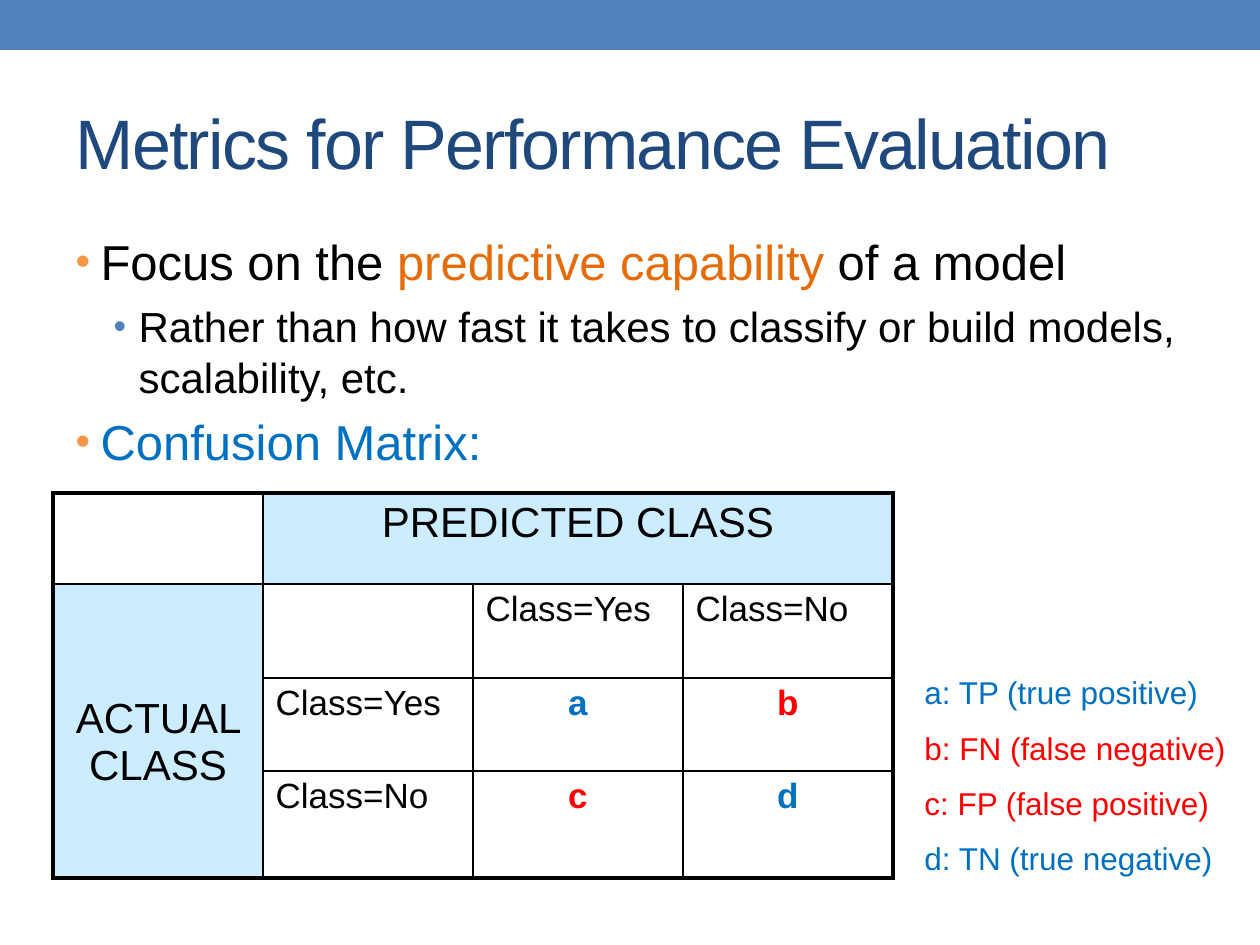
from lxml.etree import SubElement
from pptx import Presentation
from pptx.dml.color import RGBColor
from pptx.enum.shapes import MSO_SHAPE
from pptx.enum.text import MSO_ANCHOR, MSO_AUTO_SIZE, PP_ALIGN
from pptx.oxml.ns import qn
from pptx.util import Inches, Pt

BLACK = RGBColor(0x00, 0x00, 0x00)
NAVY = RGBColor(0x1F, 0x49, 0x7D)
STEEL = RGBColor(0x4F, 0x81, 0xBD)
APRICOT = RGBColor(0xF7, 0x96, 0x46)
ORANGE = RGBColor(0xE4, 0x6C, 0x0A)
BLUE = RGBColor(0x00, 0x70, 0xC0)
RED = RGBColor(0xFF, 0x00, 0x00)
PALE = RGBColor(0xCC, 0xEC, 0xFF)

PX_PER_INCH = 126
THIN, THICK = 1, 2.25


def px(length):
    return round(length * Inches(1) / PX_PER_INCH)


def write(paragraph, text, size=20, color=BLACK, bold=False, align=PP_ALIGN.LEFT,
          before=0, after=0, spacing=None):
    paragraph.alignment = align
    paragraph.space_before, paragraph.space_after = Pt(before), Pt(after)
    run = paragraph.add_run()
    run.text = text
    font = run.font
    font.name, font.size, font.bold = "Arial", Pt(size), bold
    font.color.rgb = color
    if spacing is not None:
        font._element.set("spc", str(spacing * 100))


def add_bullet(paragraph, color, indent, hanging):
    properties = paragraph._p.get_or_add_pPr()
    properties.set("marL", str(px(indent)))
    properties.set("indent", str(-px(hanging)))
    bullet_color = SubElement(properties, qn("a:buClr"))
    SubElement(bullet_color, qn("a:srgbClr"), val=str(color))
    SubElement(properties, qn("a:buSzPct"), val="85000")
    SubElement(properties, qn("a:buFont"), typeface="Arial")
    SubElement(properties, qn("a:buChar"), char="•")


def next_paragraph(frame, index):
    return frame.paragraphs[0] if index == 0 else frame.add_paragraph()


class SlideBuilder:
    def __init__(self, slide):
        self.slide = slide

    def place(self, placeholder, left, top, width, height):
        placeholder.left, placeholder.top = px(left), px(top)
        placeholder.width, placeholder.height = px(width), px(height)
        frame = placeholder.text_frame
        frame.auto_size = MSO_AUTO_SIZE.NONE
        return frame

    def band(self, left, top, width, height, color):
        band = self.slide.shapes.add_shape(
            MSO_SHAPE.RECTANGLE, px(left), px(top), px(width), px(height))
        band.shadow.inherit = False
        band.fill.solid()
        band.fill.fore_color.rgb = color
        band.line.fill.background()

    def title(self, text, *box):
        frame = self.place(self.slide.shapes.title, *box)
        frame.vertical_anchor = MSO_ANCHOR.MIDDLE
        write(frame.paragraphs[0], text, size=40, color=NAVY, spacing=-1)

    def bullets(self, items, *box):
        frame = self.place(self.slide.placeholders[1], *box)
        for index, (level, runs) in enumerate(items):
            paragraph = next_paragraph(frame, index)
            paragraph.level = level
            add_bullet(paragraph, (APRICOT, STEEL)[level], (25, 63)[level], 25)
            for text, color in runs:
                write(paragraph, text, size=(28, 24)[level], color=color,
                      before=6 if index else 0)

    def legend(self, entries, left, top, width, height):
        box = self.slide.shapes.add_textbox(px(left), px(top), px(width), px(height))
        frame = box.text_frame
        frame.word_wrap = True
        for index, (text, color) in enumerate(entries):
            write(next_paragraph(frame, index), text, size=18, color=color,
                  before=10 if index else 0)

    def border(self, cell, row, column, last_row, last_column):
        bottom = row + cell.span_height - 1
        right = column + cell.span_width - 1
        outer_edges = {"lnL": column == 0, "lnR": right == last_column,
                       "lnT": row == 0, "lnB": bottom == last_row}
        properties = cell._tc.get_or_add_tcPr()
        for tag, outer in outer_edges.items():
            if cell.is_spanned and not outer:
                continue
            line = SubElement(properties, qn(f"a:{tag}"), w=str(Pt(THICK if outer else THIN)))
            fill = SubElement(line, qn("a:solidFill"))
            SubElement(fill, qn("a:srgbClr"), val=str(BLACK))

    def matrix(self, contents, merges, shaded, left, top, column_width, row_heights):
        rows, columns = len(contents), len(contents[0])
        table = self.slide.shapes.add_table(
            rows, columns, px(left), px(top),
            px(column_width * columns), px(sum(row_heights))).table
        table.first_row = table.horz_banding = False
        for column in table.columns:
            column.width = px(column_width)
        for row, height in zip(table.rows, row_heights):
            row.height = px(height)
        for start, end in merges:
            table.cell(*start).merge(table.cell(*end))
        for row, line in enumerate(contents):
            for column, content in enumerate(line):
                cell = table.cell(row, column)
                self.border(cell, row, column, rows - 1, columns - 1)
                if (row, column) in shaded:
                    cell.fill.solid()
                    cell.fill.fore_color.rgb = PALE
                else:
                    cell.fill.background()
                if content:
                    text, style = content
                    write(cell.text_frame.paragraphs[0], text, after=4, **style)
        return table


def main():
    presentation = Presentation()
    presentation.slide_width, presentation.slide_height = Inches(10), Inches(7.5)
    builder = SlideBuilder(presentation.slides.add_slide(presentation.slide_layouts[1]))

    builder.band(0, 0, 1260, 50, STEEL)
    builder.title("Metrics for Performance Evaluation", 63, 73, 1134, 136)
    builder.bullets([
        (0, [("Focus on the ", BLACK), ("predictive capability ", ORANGE),
             ("of a model", BLACK)]),
        (1, [("Rather than how fast it takes to classify or build models, "
              "scalability, etc.", BLACK)]),
        (0, [("Confusion Matrix:", BLUE)]),
    ], 63, 225, 1134, 667)

    heading = {"size": 24, "align": PP_ALIGN.CENTER}
    correct = {"color": BLUE, "bold": True, "align": PP_ALIGN.CENTER}
    wrong = {**correct, "color": RED}
    yes, no = ("Class=Yes", {}), ("Class=No", {})
    confusion = builder.matrix(
        [[None, ("PREDICTED CLASS", heading), None, None],
         [("ACTUAL CLASS", heading), None, yes, no],
         [None, yes, ("a", correct), ("b", wrong)],
         [None, no, ("c", wrong), ("d", correct)]],
        merges=[((0, 1), (0, 3)), ((1, 0), (3, 0))],
        shaded={(0, 1), (1, 0)},
        left=53, top=493, column_width=210, row_heights=[91, 94, 93, 107])
    confusion.cell(1, 0).margin_top = px(112)

    builder.legend([
        ("a: TP (true positive)", BLUE),
        ("b: FN (false negative)", RED),
        ("c: FP (false positive)", RED),
        ("d: TN (true negative)", BLUE),
    ], 912, 667, 338, 223)

    presentation.save("out.pptx")


if __name__ == "__main__":
    main()
